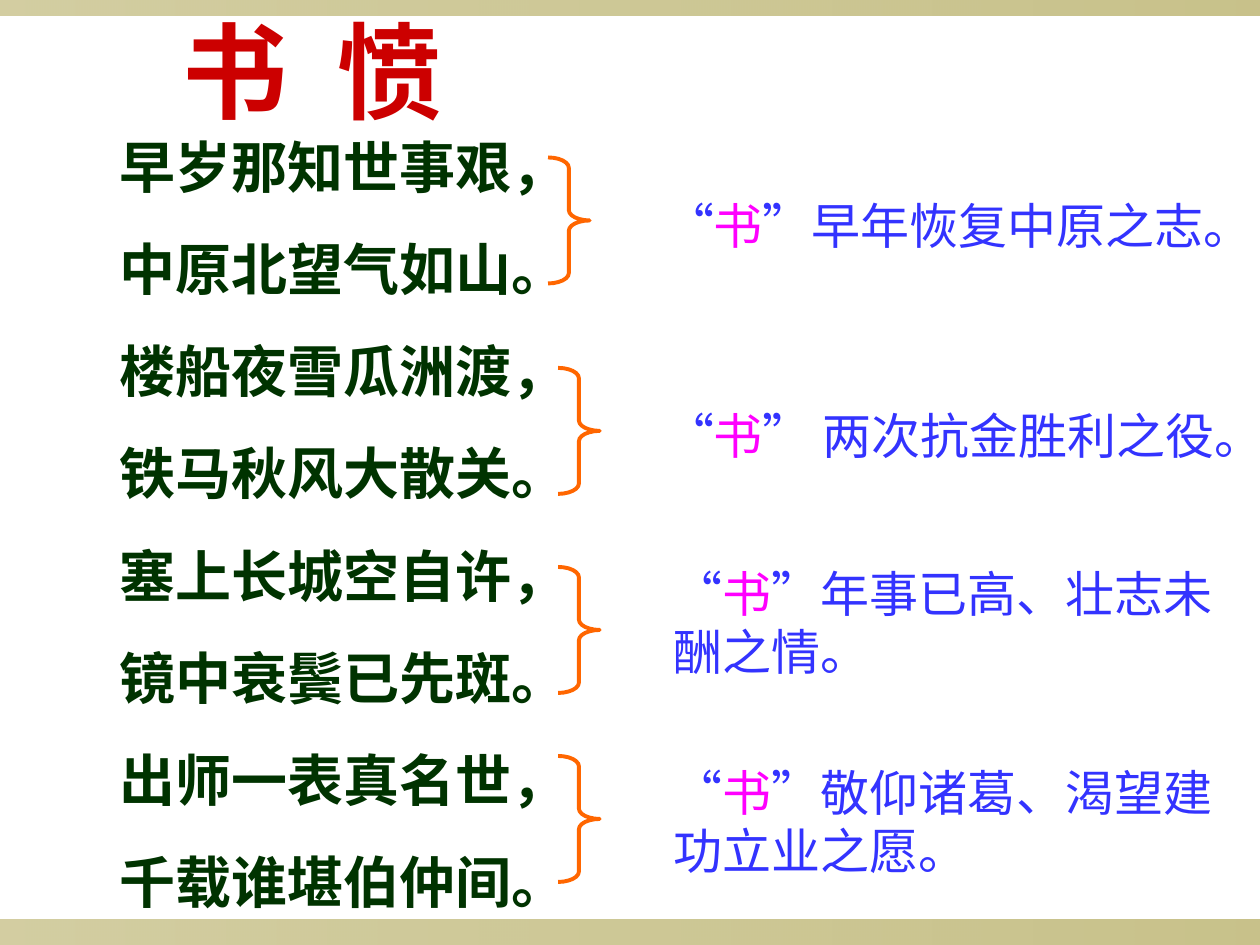
from lxml import etree
from pptx import Presentation
from pptx.dml.color import RGBColor
from pptx.enum.lang import MSO_LANGUAGE_ID
from pptx.enum.shapes import MSO_SHAPE
from pptx.enum.text import MSO_ANCHOR, MSO_AUTO_SIZE, PP_ALIGN
from pptx.oxml.ns import qn
from pptx.util import Inches, Pt

RECTANGLE = MSO_SHAPE.RECTANGLE
RIGHT_BRACE = MSO_SHAPE.RIGHT_BRACE
CHINESE = MSO_LANGUAGE_ID.SIMPLIFIED_CHINESE
TOP = MSO_ANCHOR.TOP
NO_AUTOFIT = MSO_AUTO_SIZE.NONE
LEFT = PP_ALIGN.LEFT

FONT = "Times New Roman"
OLIVE = "918415"
RED = "CC0000"
GREEN = "003300"
ORANGE = "FF6600"
BLUE = "3333FF"
MAGENTA = "FF00FF"

POEM = [
    "早岁那知世事艰，",
    "中原北望气如山。",
    "楼船夜雪瓜洲渡，",
    "铁马秋风大散关。",
    "塞上长城空自许，",
    "镜中衰鬓已先斑。",
    "出师一表真名世，",
    "千载谁堪伯仲间。",
]
BRACES = [(4.35, 1.25), (4.43, 2.92), (4.43, 4.5), (4.43, 6)]
NOTES = [
    (5.18, 1.5, 0.57, "”早年恢复中原之志。"),
    (5.18, 3.17, 0.57, "” 两次抗金胜利之役。"),
    (5.25, 4.42, 1.04, "”年事已高、壮志未酬之情。"),
    (5.25, 6, 1.04, "”敬仰诸葛、渴望建功立业之愿。"),
]


def rgb(value):
    return RGBColor.from_string(value)


def add_run(paragraph, text, size, color, bold=False):
    run = paragraph.add_run()
    run.text = text
    font = run.font
    font.name = FONT
    font.size = Pt(size)
    font.bold = bold
    font.color.rgb = rgb(color)
    font.language_id = CHINESE
    return run


def prepare_frame(frame):
    frame.word_wrap = True
    frame.auto_size = NO_AUTOFIT
    frame.vertical_anchor = TOP
    return frame


def add_text_frame(slide, left, top, width, height):
    box = slide.shapes.add_textbox(Inches(left), Inches(top), Inches(width), Inches(height))
    return prepare_frame(box.text_frame)


def add_band(slide, top, height):
    band = slide.shapes.add_shape(RECTANGLE, 0, Inches(top), Inches(10), Inches(height))
    band.shadow.inherit = False
    band.line.fill.background()
    band.fill.gradient()
    band.fill.gradient_angle = 0
    for stop, opacity in zip(band.fill.gradient_stops, (40, 50)):
        stop.color.rgb = rgb(OLIVE)
        color = stop._gs.find(qn("a:srgbClr"))
        etree.SubElement(color, qn("a:alpha")).set("val", str(opacity * 1000))


def set_title(slide):
    title = slide.shapes.title
    title.left, title.top = Inches(1.35), Inches(0)
    title.width, title.height = Inches(3.83), Inches(1.1)
    heading = prepare_frame(title.text_frame).paragraphs[0]
    heading.alignment = LEFT
    add_run(heading, "书", 60, RED, True)
    gap = add_run(heading, " ", 60, RED, True)
    gap.font._element.set("spc", "1500")
    add_run(heading, "愤", 60, RED, True)


def add_poem(slide):
    frame = add_text_frame(slide, 0.85, 1, 4.25, 6.32)
    for index, verse in enumerate(POEM):
        paragraph = frame.add_paragraph() if index else frame.paragraphs[0]
        if index:
            paragraph.space_before = Pt(20)
        add_run(paragraph, verse, 32, GREEN, True)


def add_brace(slide, left, top):
    brace = slide.shapes.add_shape(
        RIGHT_BRACE, Inches(left), Inches(top), Inches(0.33), Inches(1))
    brace.shadow.inherit = False
    brace.fill.background()
    brace.line.color.rgb = rgb(ORANGE)
    brace.line.width = Pt(2.25)
    brace.adjustments[0] = 0.25


def add_note(slide, left, top, height, meaning):
    paragraph = add_text_frame(slide, left, top, 10 - left, height).paragraphs[0]
    for text, color in (("“", BLUE), ("书", MAGENTA), (meaning, BLUE)):
        add_run(paragraph, text, 28, color)


def main():
    deck = Presentation()
    deck.slide_width, deck.slide_height = Inches(10), Inches(7.5)
    slide = deck.slides.add_slide(deck.slide_layouts[5])
    add_band(slide, 7.3, 0.2)
    add_band(slide, 0, 0.12)
    add_poem(slide)
    set_title(slide)
    for brace in BRACES:
        add_brace(slide, *brace)
    for note in NOTES:
        add_note(slide, *note)
    deck.save("out.pptx")


if __name__ == "__main__":
    main()
